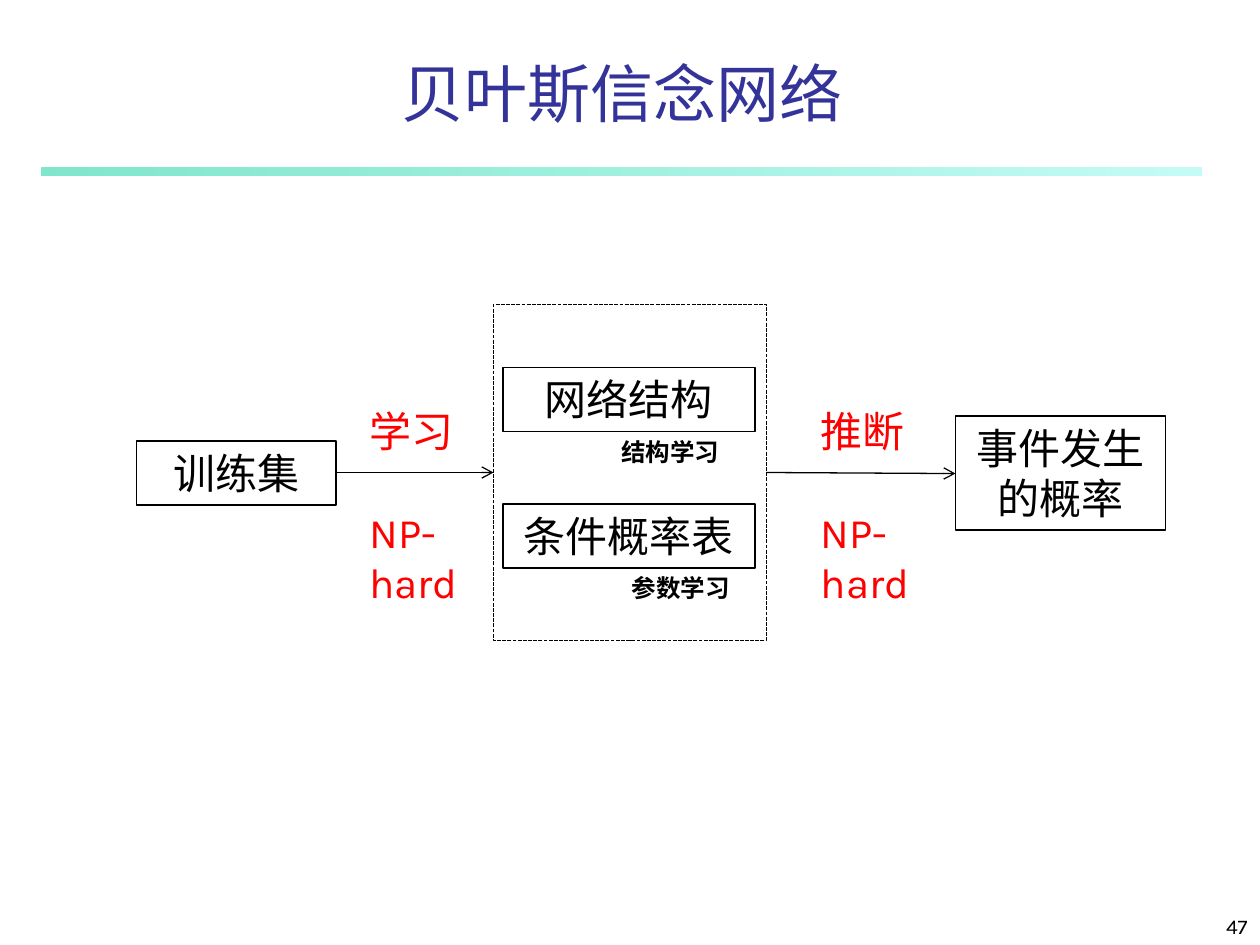
from lxml.etree import SubElement
from pptx import Presentation
from pptx.dml.color import RGBColor
from pptx.enum.dml import MSO_LINE
from pptx.enum.shapes import MSO_CONNECTOR, MSO_SHAPE
from pptx.enum.text import MSO_ANCHOR as Anchor, PP_ALIGN as Align
from pptx.oxml.ns import qn
from pptx.util import Inches, Pt

COLUMNS, ROWS = 120, 90
UNIT = Inches(10) / COLUMNS
FONT = "Karla"
COLORS = {
    "title": "333399",
    "ink": "000000",
    "label": "FF0000",
    "rule_start": "00CE98",
    "rule_end": "8FF9EF",
}


def color(name):
    """Return the named colour."""
    return RGBColor.from_string(COLORS[name])


def grid(*cells):
    """Turn grid counts into lengths."""
    return [round(cell * UNIT) for cell in cells]


def write(shape, lines, size, ink="ink", align=Align.LEFT, anchor=Anchor.TOP, bold=False, gap=0):
    """Fill a shape with lines of text, set apart by a gap in points."""
    frame = shape.text_frame
    frame.word_wrap = True
    frame.vertical_anchor = anchor
    frame.text = "\n".join(lines)
    for index, paragraph in enumerate(frame.paragraphs):
        paragraph.alignment = align
        paragraph.space_before = Pt(gap if index else 0)
        font = paragraph.font
        font.name, font.size, font.bold = FONT, Pt(size), bold
        font.color.rgb = color(ink)


def add_text(slide, box, lines, size, **style):
    """Add a text box on the grid."""
    write(slide.shapes.add_textbox(*grid(*box)), lines, size, **style)


def add_frame(slide, box, width=1):
    """Add an unfilled, outlined rectangle on the grid."""
    shape = slide.shapes.add_shape(MSO_SHAPE.RECTANGLE, *grid(*box))
    shape.shadow.inherit = False
    shape.fill.background()
    shape.line.color.rgb = color("ink")
    shape.line.width = Pt(width)
    return shape


def add_node(slide, box, text):
    """Add a labelled box of the flow."""
    write(add_frame(slide, box), [text], 24, align=Align.CENTER)


def add_arrow(slide, start, end):
    """Add an open-headed arrow between two grid points."""
    arrow = slide.shapes.add_connector(MSO_CONNECTOR.STRAIGHT, *grid(*start, *end))
    arrow.line.color.rgb = color("ink")
    arrow.line.width = Pt(0.75)
    SubElement(arrow.line._get_or_add_ln(), qn("a:tailEnd"), type="arrow")
    SubElement(arrow.element.spPr, qn("a:effectLst"))


def add_header(slide, box, title):
    """Add the title and the fading rule beneath it."""
    left, top, width, height = box
    rule = slide.shapes.add_shape(
        MSO_SHAPE.RECTANGLE, *grid(left, top + height - 0.7, width, 0.7)
    )
    rule.shadow.inherit = False
    rule.line.fill.background()
    rule.fill.gradient()
    rule.fill.gradient_angle = 0
    for stop, name in zip(rule.fill.gradient_stops, ("rule_start", "rule_end")):
        stop.color.rgb = color(name)
    for tint, opacity in zip(rule.element.spPr.iter(qn("a:srgbClr")), (50, 52)):
        SubElement(tint, qn("a:alpha"), val=str(opacity * 1000))
    add_text(slide, (left, top, width, 8), [title], 36, ink="title",
             align=Align.CENTER, anchor=Anchor.BOTTOM)


def add_model(slide, box, parts):
    """Add the dashed model frame with its parts and their learning notes."""
    left, top, width, height = box
    for index, (part, note) in enumerate(parts):
        row = top + 6 + 13 * index
        add_node(slide, (left + 0.9, row, width - 2, 6.1), part)
        add_text(slide, (left + 11 + index, row + 6, 13, 4.1), [note], 14, bold=True)
    add_frame(slide, box, 0.75).line.dash_style = MSO_LINE.SQUARE_DOT


def add_step(slide, box, lines, start, end):
    """Add an arrow with its caption above and below."""
    add_arrow(slide, start, end)
    add_text(slide, box, lines, 24, ink="label", gap=29)


def add_flow(slide, box):
    """Add the path from training set through the model to the probability."""
    left, top, width, height = box
    middle = top + height / 2
    model_left, model_right, result_left = left + 34, left + 60, left + 78
    add_node(slide, (left, middle - 3, 19, 6.1), "训练集")
    add_model(slide, (model_left, top, model_right - model_left, height),
              [("网络结构", "结构学习"), ("条件概率表", "参数学习")])
    add_node(slide, (result_left, middle - 5.4, width - 78, 10.9), "事件发生的概率")
    add_step(slide, (left + 21, middle - 7, 11, 20.6), ["学习", "NP-hard"],
             (left + 19, middle), (model_left, middle))
    add_step(slide, (left + 64, middle - 7, 12, 20.6), ["推断", "NP-hard"],
             (model_right, middle), (result_left, middle + 0.1))


def main():
    """Build and save the slide."""
    presentation = Presentation()
    presentation.slide_width, presentation.slide_height = grid(COLUMNS, ROWS)
    slide = presentation.slides.add_slide(presentation.slide_layouts[6])
    add_header(slide, (4, 5, 110.4, 11.7), "贝叶斯信念网络")
    add_flow(slide, (13, 29, 98, 32))
    add_text(slide, (95, 85, 25, 5), ["47"], 12, align=Align.RIGHT, anchor=Anchor.BOTTOM)
    presentation.save("out.pptx")


if __name__ == "__main__":
    main()
